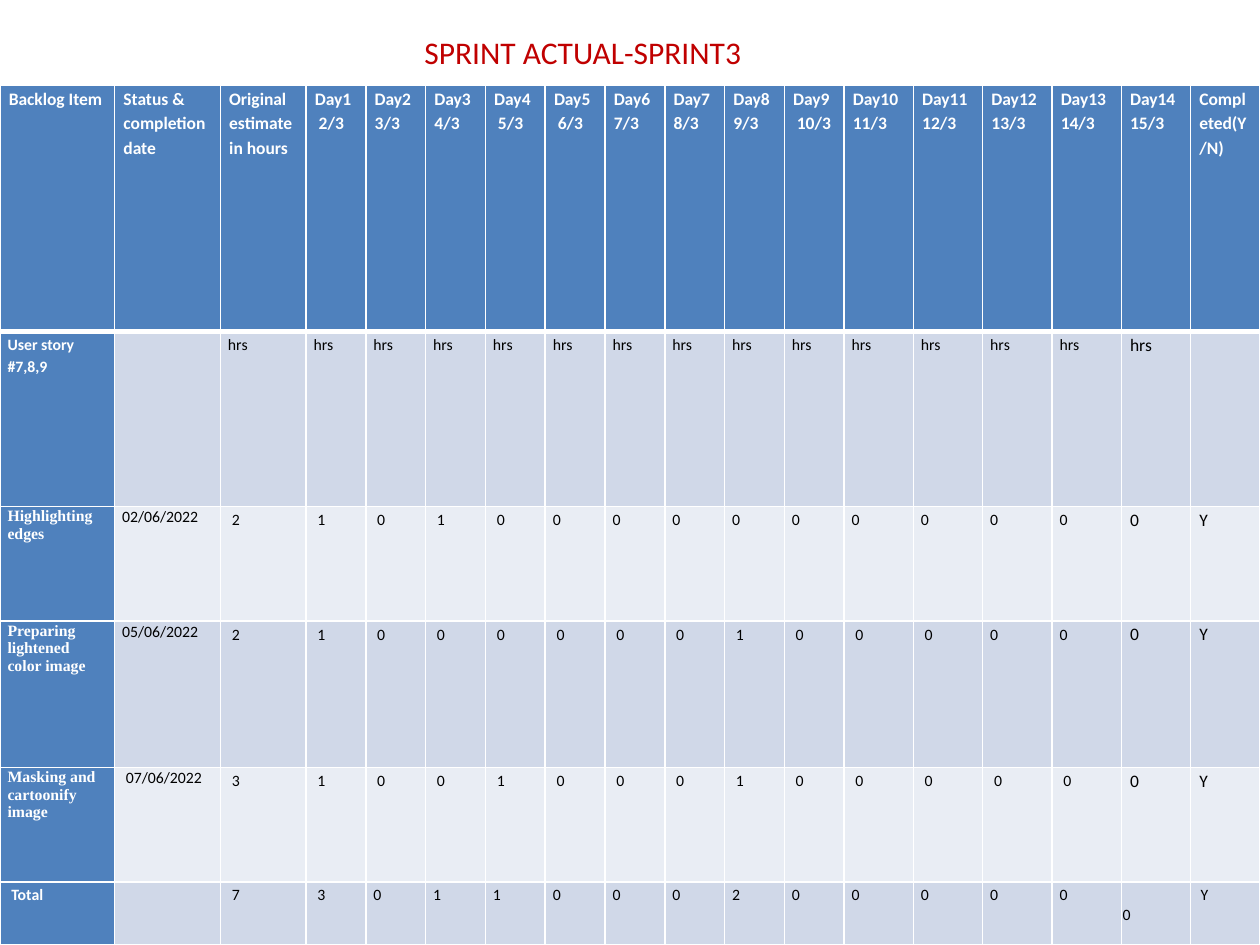
from lxml.etree import SubElement
from pptx import Presentation
from pptx.dml.color import RGBColor
from pptx.enum.text import MSO_ANCHOR, MSO_AUTO_SIZE
from pptx.oxml.ns import qn
from pptx.util import Inches, Pt

WHITE = RGBColor(0xFF, 0xFF, 0xFF)
BLACK = RGBColor(0x00, 0x00, 0x00)
RED = RGBColor(0xC0, 0x00, 0x00)
BLUE = RGBColor(0x4F, 0x81, 0xBD)
BANDS = [RGBColor(0xD0, 0xD8, 0xE8), RGBColor(0xE9, 0xED, 0xF4)]

WIDTH, HEIGHT, TABLE_TOP = 10, 7.5, 0.68
ROW_HEIGHTS = [1.95, 1.39, 0.91, 1.16, 0.91, 0.5]
LEAD_WIDTHS = [0.91, 0.84, 0.68]
LATE_WIDTH = 0.55
DAY_WIDTH = (WIDTH - sum(LEAD_WIDTHS) - 6 * LATE_WIDTH) / 9
COLUMN_WIDTHS = LEAD_WIDTHS + [DAY_WIDTH] * 9 + [LATE_WIDTH] * 6
LAST_DAY, COMPLETED = 16, 17

days = [f"Day{day}\n{day + 1}/3" for day in range(1, 15)]
backlog = [
    ["Backlog Item", "Status & completion date", "Original estimate in hours", *days, "Completed(Y/N)"],
    ["User story #7,8,9", "", *["hrs"] * 15, ""],
    ["Highlighting edges", "02/06/2022", *"2 1 0 1 0 0 0 0 0 0 0 0 0 0 0 0 Y".split()[:16]],
    ["Preparing lightened color image", "05/06/2022", *"2 1 0 0 0 0 0 0 1 0 0 0 0 0 0 Y".split()],
    ["Masking and cartoonify image", "07/06/2022", *"3 1 0 0 1 0 0 0 1 0 0 0 0 0 0 Y".split()],
    ["Total", "", *"7 3 0 1 1 0 0 0 2 0 0 0 0 0 0 Y".split()],
]
backlog[2][2:] = "2 1 0 1 0 0 0 0 0 0 0 0 0 0 0 Y".split()
TOTAL = len(backlog) - 1
indented = {0: [3, 6, 7, 11], 1: [], 2: range(2, 7), 3: range(2, 14), 4: range(1, 16), 5: [0, 2, 3, 17]}


def draw_borders(cell, row):
    properties = cell._tc.get_or_add_tcPr()
    for side in "LRTB":
        heavy = (row, side) in [(0, "B"), (1, "T")]
        line = SubElement(properties, qn(f"a:ln{side}"), w=str(Pt(3 if heavy else 1)))
        paint = SubElement(line, qn("a:solidFill"))
        SubElement(paint, qn("a:srgbClr"), val=str(WHITE))


presentation = Presentation()
presentation.slide_width, presentation.slide_height = Inches(WIDTH), Inches(HEIGHT)
slide = presentation.slides.add_slide(presentation.slide_layouts[6])

sprint = slide.shapes.add_table(
    len(backlog), len(COLUMN_WIDTHS), 0, Inches(TABLE_TOP), Inches(WIDTH), Inches(sum(ROW_HEIGHTS))
).table
for column, width in zip(sprint.columns, COLUMN_WIDTHS):
    column.width = Inches(width)
for table_row, height in zip(sprint.rows, ROW_HEIGHTS):
    table_row.height = Inches(height)

for row, entries in enumerate(backlog):
    for col, entry in enumerate(entries):
        cell = sprint.cell(row, col)
        header, task = row == 0, 2 <= row < TOTAL
        label = header or col == 0
        large = header or (col >= LAST_DAY and row < TOTAL)
        draw_borders(cell, row)
        cell.fill.solid()
        cell.fill.fore_color.rgb = BLUE if label else BANDS[(row + 1) % 2]

        side = 0.07 if large else 0.06
        if row == TOTAL and col >= LAST_DAY:
            side = 0.01 if col == LAST_DAY else 0.05
        cell.margin_left = cell.margin_right = Inches(side)
        cell.margin_top, cell.margin_bottom = Inches(0 if large else 0.01), 0
        if (row, col) == (TOTAL, LAST_DAY):
            cell.vertical_anchor = MSO_ANCHOR.MIDDLE
        if not entry:
            continue

        cell.text = entry
        paragraphs = cell.text_frame.paragraphs
        for paragraph in paragraphs:
            paragraph.font.name = "Times New Roman" if task and col == 0 else "Calibri"
            paragraph.font.size = Pt(10 if large else 9)
            paragraph.font.bold = label
            paragraph.font.color.rgb = WHITE if label else BLACK
            if not (task and col < 2):
                paragraph.line_spacing = 1.15
                paragraph.space_after = Pt(0 if large else 10)
        if col in indented[row]:
            paragraphs[-1]._p.get_or_add_pPr().set("marL", str(Inches(0.03)))

title = slide.shapes.add_textbox(
    Inches(3.27), Inches(0.21), Inches(2.74), Inches(0.4)
).text_frame
title.word_wrap = False
title.auto_size = MSO_AUTO_SIZE.SHAPE_TO_FIT_TEXT
title.text = "SPRINT ACTUAL-SPRINT3"
heading = title.paragraphs[0]
heading.font.name = "Calibri"
heading.font.size = Pt(18)
heading.font.color.rgb = RED

presentation.save("out.pptx")
